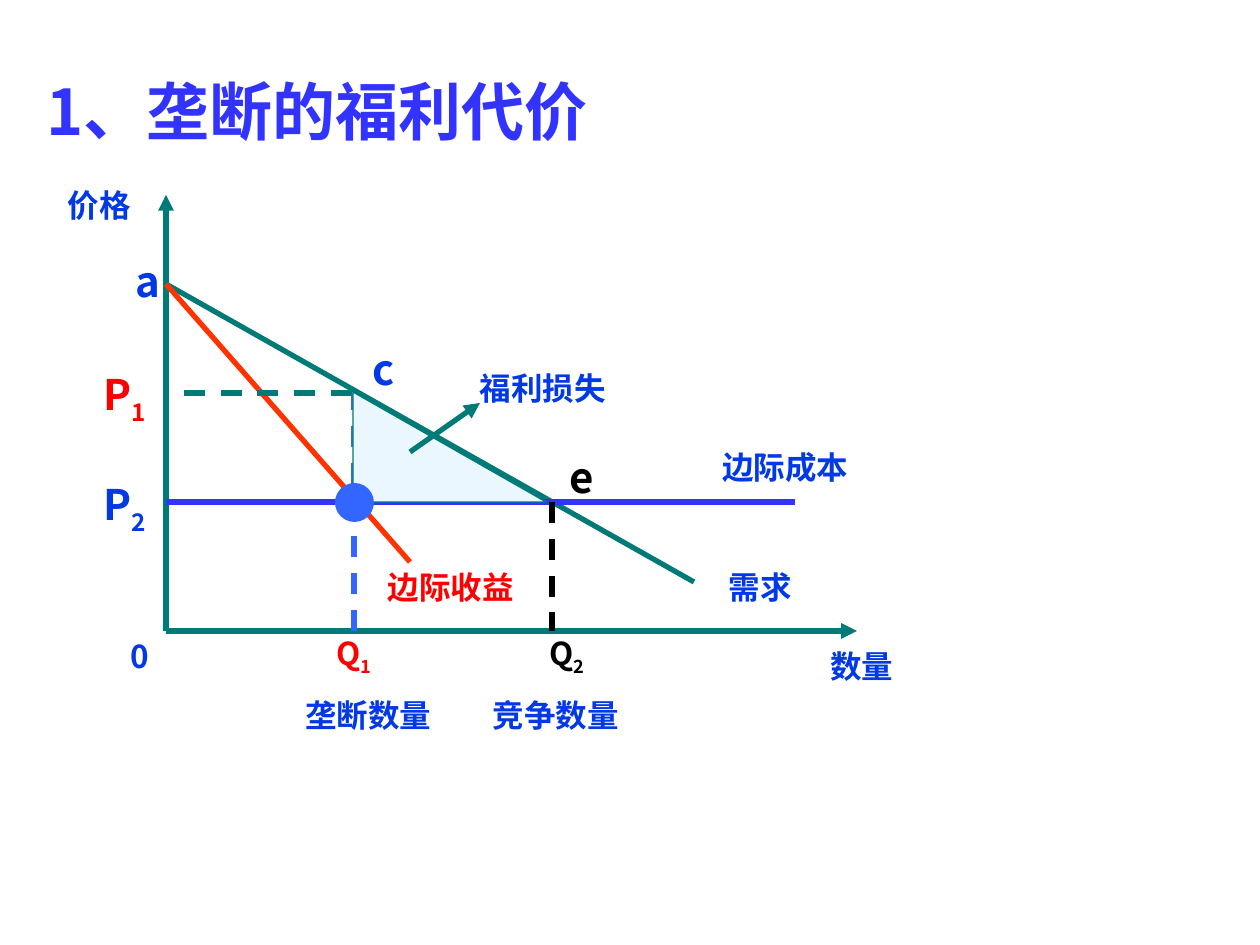
from dataclasses import dataclass

from lxml import etree
from pptx import Presentation
from pptx.dml.color import RGBColor
from pptx.enum.dml import MSO_LINE
from pptx.enum.shapes import MSO_CONNECTOR, MSO_SHAPE
from pptx.enum.text import MSO_ANCHOR, MSO_AUTO_SIZE, PP_ALIGN
from pptx.oxml.ns import qn
from pptx.util import Emu, Pt

STRAIGHT = MSO_CONNECTOR.STRAIGHT
DASH = MSO_LINE.DASH
TRIANGLE = MSO_SHAPE.RIGHT_TRIANGLE
OVAL = MSO_SHAPE.OVAL
TOP, MIDDLE = MSO_ANCHOR.TOP, MSO_ANCHOR.MIDDLE
LEFT, CENTER = PP_ALIGN.LEFT, PP_ALIGN.CENTER

PX_PER_INCH = 126
FONT = "Noto Sans CJK SC"
COLORS = {
    "violet": "3333FF",
    "blue": "0039E5",
    "teal": "007A77",
    "orange": "FF3300",
    "red": "FF0000",
    "sky": "3366FF",
    "pale": "EBF7FF",
    "black": "000000",
}

ORIGIN_X, ORIGIN_Y = 166, 631
INTERCEPT_Y = 284
MONOPOLY_X, MONOPOLY_Y = 354, 393
COMPETITIVE_X, COST_Y = 552, 502


@dataclass(frozen=True)
class Segment:
    x1: int
    y1: int
    x2: int
    y2: int
    color: str
    dashed: bool = False
    arrow: bool = False


@dataclass(frozen=True)
class Label:
    text: str
    left: int
    top: int
    width: int
    height: int = 49
    color: str = "blue"
    size: int = 18
    subscript: str = ""
    align: PP_ALIGN = CENTER


SEGMENTS = [
    Segment(ORIGIN_X, ORIGIN_Y, 857, ORIGIN_Y, "teal", arrow=True),
    Segment(ORIGIN_X, ORIGIN_Y, ORIGIN_X, 195, "teal", arrow=True),
    Segment(ORIGIN_X, INTERCEPT_Y, 694, 582, "teal"),
    Segment(ORIGIN_X, INTERCEPT_Y, 410, 562, "orange"),
    Segment(ORIGIN_X, COST_Y, 795, COST_Y, "violet"),
    Segment(MONOPOLY_X, ORIGIN_Y, MONOPOLY_X, MONOPOLY_Y, "sky", dashed=True),
    Segment(MONOPOLY_X - 2, MONOPOLY_Y, ORIGIN_X, MONOPOLY_Y, "teal", dashed=True),
    Segment(COMPETITIVE_X, COST_Y, COMPETITIVE_X, ORIGIN_Y, "black", dashed=True),
]
LOSS_POINTER = Segment(410, 452, 480, 403, "teal", arrow=True)

LABELS = [
    Label("边际成本", 704, 442, 163),
    Label("需求", 694, 562, 132),
    Label("边际收益", 359, 562, 183, color="red"),
    Label("垄断数量", 287, 690, 163),
    Label("竞争数量", 480, 690, 152),
    Label("数量", 775, 641, 173),
    Label("0", 115, 631, 50),
    Label("福利损失", 480, 363, 173, 50, align=LEFT),
    Label("价格", 54, 165, 91, 79),
    Label("P", 95, 363, 60, 69, "red", 24, "1"),
    Label("P", 95, 473, 60, 69, "blue", 24, "2"),
    Label("Q", 319, 631, 70, color="red", subscript="1"),
    Label("Q", 532, 631, 70, color="black", subscript="2"),
    Label("a", 118, 256, 60, 50, size=24),
    Label("c", 354, 344, 60, 50, size=24),
    Label("e", 552, 452, 60, 50, "black", 24),
]


def px(value: int) -> Emu:
    return Emu(round(value * 914400 / PX_PER_INCH))


def rgb(color: str) -> RGBColor:
    return RGBColor.from_string(COLORS[color])


def style_paragraph(paragraph, size: int, color: str, align: PP_ALIGN) -> None:
    paragraph.alignment = align
    font = paragraph.font
    font.name, font.size, font.bold = FONT, Pt(size), True
    font.color.rgb = rgb(color)
    for run in paragraph.runs:
        east_asian = etree.SubElement(run._r.get_or_add_rPr(), qn("a:ea"))
        east_asian.set("typeface", FONT)


def draw_title(slide, text: str) -> None:
    title = slide.shapes.title
    title.left, title.top, title.width, title.height = map(px, (34, 66, 796, 121))
    title.text = text
    frame = title.text_frame
    frame.vertical_anchor = TOP
    frame.auto_size = MSO_AUTO_SIZE.NONE
    style_paragraph(frame.paragraphs[0], 36, "violet", LEFT)


def draw_segment(slide, segment: Segment) -> None:
    ends = map(px, (segment.x1, segment.y1, segment.x2, segment.y2))
    connector = slide.shapes.add_connector(STRAIGHT, *ends)
    line = connector.line
    line.color.rgb = rgb(segment.color)
    line.width = Pt(3)
    if segment.dashed:
        line.dash_style = DASH
    if segment.arrow:
        etree.SubElement(line._get_or_add_ln(), qn("a:tailEnd")).set("type", "triangle")
    etree.SubElement(connector._element.spPr, qn("a:effectLst"))


def draw_area(slide, preset: MSO_SHAPE, box: tuple[int, int, int, int],
              fill: str, outline: str = "") -> None:
    area = slide.shapes.add_shape(preset, *map(px, box))
    area.shadow.inherit = False
    area.fill.solid()
    area.fill.fore_color.rgb = rgb(fill)
    if outline:
        area.line.color.rgb = rgb(outline)
        area.line.width = Pt(0.75)
    else:
        area.line.fill.background()


def draw_label(slide, label: Label) -> None:
    box = map(px, (label.left, label.top, label.width, label.height))
    frame = slide.shapes.add_textbox(*box).text_frame
    frame.margin_left = frame.margin_right = 0
    frame.word_wrap = label.align == LEFT
    frame.vertical_anchor = MIDDLE
    paragraph = frame.paragraphs[0]
    paragraph.add_run().text = label.text
    if label.subscript:
        index = paragraph.add_run()
        index.text = label.subscript
        index._r.get_or_add_rPr().set("baseline", "-25000")
    style_paragraph(paragraph, label.size, label.color, label.align)


def main() -> None:
    presentation = Presentation()
    presentation.slide_width, presentation.slide_height = px(1260), px(945)
    slide = presentation.slides.add_slide(presentation.slide_layouts[5])
    draw_title(slide, "1、垄断的福利代价")
    for segment in SEGMENTS:
        draw_segment(slide, segment)
    draw_area(slide, TRIANGLE, (353, 392, 193, 110), "pale", "teal")
    draw_segment(slide, LOSS_POINTER)
    for label in LABELS:
        draw_label(slide, label)
    draw_area(slide, OVAL, (335, 483, 39, 39), "sky")
    presentation.save("out.pptx")


if __name__ == "__main__":
    main()
